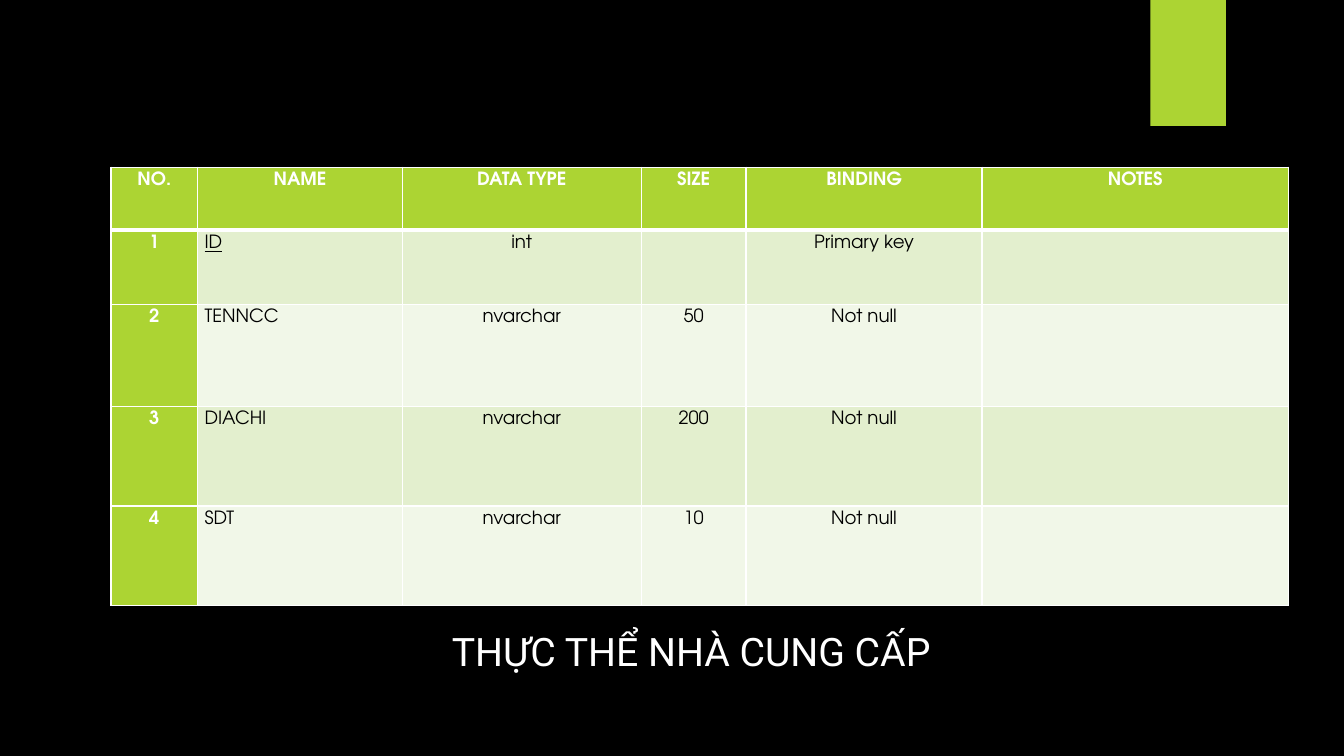
from lxml.etree import SubElement
from pptx import Presentation
from pptx.dml.color import RGBColor
from pptx.enum.shapes import MSO_SHAPE as Shape
from pptx.enum.text import MSO_ANCHOR as Anchor, MSO_AUTO_SIZE as AutoSize, PP_ALIGN as Align
from pptx.oxml.ns import qn
from pptx.util import Inches, Pt

CAPTION = "THỰC THỂ NHÀ CUNG CẤP"
ROWS = [
    ("NO.", "NAME", "DATA TYPE", "SIZE", "BINDING", "NOTES"),
    ("1", "ID", "int", "", "Primary key", ""),
    ("2", "TENNCC", "nvarchar", "50", "Not null", ""),
    ("3", "DIACHI", "nvarchar", "200", "Not null", ""),
    ("4", "SDT", "nvarchar", "10", "Not null", ""),
]
COLUMN_WIDTHS = (0.86, 2.03, 2.37, 1.04, 2.34, 3.04)
ROW_HEIGHTS = (0.62, 0.74, 1.01, 0.99, 0.99)
NAME_COLUMN = 1
PRIMARY_KEY = "ID"
BLACK, WHITE, GREEN = "000000", "FFFFFF", "ACD433"
BANDS = ("F1F7E8", "E3EFCE")


def paint(fill, color):
    """Give a fill one solid colour."""
    fill.solid()
    fill.fore_color.rgb = RGBColor.from_string(color)


def style_font(font, name, size, color, bold=False):
    """Set the typeface, size, colour and weight of a font."""
    font.name, font.size, font.bold = name, Pt(size), bold
    font.color.rgb = RGBColor.from_string(color)


def add_borders(cell, widths):
    """Draw white cell borders; widths are points for left, right, top, bottom."""
    properties = cell._tc.get_or_add_tcPr()
    for index, (side, width) in enumerate(zip(("lnL", "lnR", "lnT", "lnB"), widths)):
        line = SubElement(properties, qn(f"a:{side}"), w=str(Pt(width)))
        solid = SubElement(line, qn("a:solidFill"))
        SubElement(solid, qn("a:srgbClr"), val=WHITE)
        properties.insert(index, line)


def fill_cell(cell, text, row, column):
    """Write and format one cell according to its place in the table."""
    accent = row == 0 or column == 0
    cell.margin_left = cell.margin_right = Inches(0.07)
    cell.margin_top = cell.margin_bottom = 0
    cell.text_frame.text = text
    para = cell.text_frame.paragraphs[0]
    para.alignment = Align.LEFT if column == NAME_COLUMN and row else Align.CENTER
    para.line_spacing, para.space_before, para.space_after = 1.3, Pt(6), Pt(3)
    for span in para.runs:
        style_font(span.font, "TeX Gyre Adventor", 13, WHITE if accent else BLACK, accent)
        if text == PRIMARY_KEY:
            span.font.underline = True
    paint(cell.fill, GREEN if accent else BANDS[row % 2])
    add_borders(cell, (1, 1, 3 if row == 1 else 1, 3 if row == 0 else 1))


def add_field_table(page):
    """Add the table that lists the fields of the entity."""
    table = page.shapes.add_table(
        len(ROWS), len(COLUMN_WIDTHS), Inches(1.1), Inches(1.66),
        Inches(sum(COLUMN_WIDTHS)), Inches(sum(ROW_HEIGHTS))).table
    table.first_col = True
    for column, width in zip(table.columns, COLUMN_WIDTHS):
        column.width = Inches(width)
    for row, (height, texts) in enumerate(zip(ROW_HEIGHTS, ROWS)):
        table.rows[row].height = Inches(height)
        for column, text in enumerate(texts):
            fill_cell(table.cell(row, column), text, row, column)


def add_ribbon(page):
    """Add the green ribbon that hangs from the top edge."""
    ribbon = page.shapes.add_shape(
        Shape.RECTANGLE, Inches(11.41), 0, Inches(0.75), Inches(1.25))
    ribbon.shadow.inherit = False
    paint(ribbon.fill, GREEN)
    ribbon.line.fill.background()


def set_caption(title):
    """Place the title below the table as its caption."""
    title.left, title.top = Inches(4.23), Inches(6.17)
    title.width, title.height = Inches(5.25), Inches(0.57)
    frame = title.text_frame
    frame.text = CAPTION
    frame.word_wrap = True
    frame.auto_size = AutoSize.SHAPE_TO_FIT_TEXT
    frame.vertical_anchor = Anchor.TOP
    para = frame.paragraphs[0]
    para.alignment = Align.CENTER
    style_font(para.runs[0].font, "Roboto", 28, WHITE)


deck = Presentation()
deck.slide_width, deck.slide_height = Inches(13.33), Inches(7.5)
page = deck.slides.add_slide(deck.slide_layouts.get_by_name("Title Only"))
paint(page.background.fill, BLACK)
add_ribbon(page)
set_caption(page.shapes.title)
add_field_table(page)
deck.save("out.pptx")
